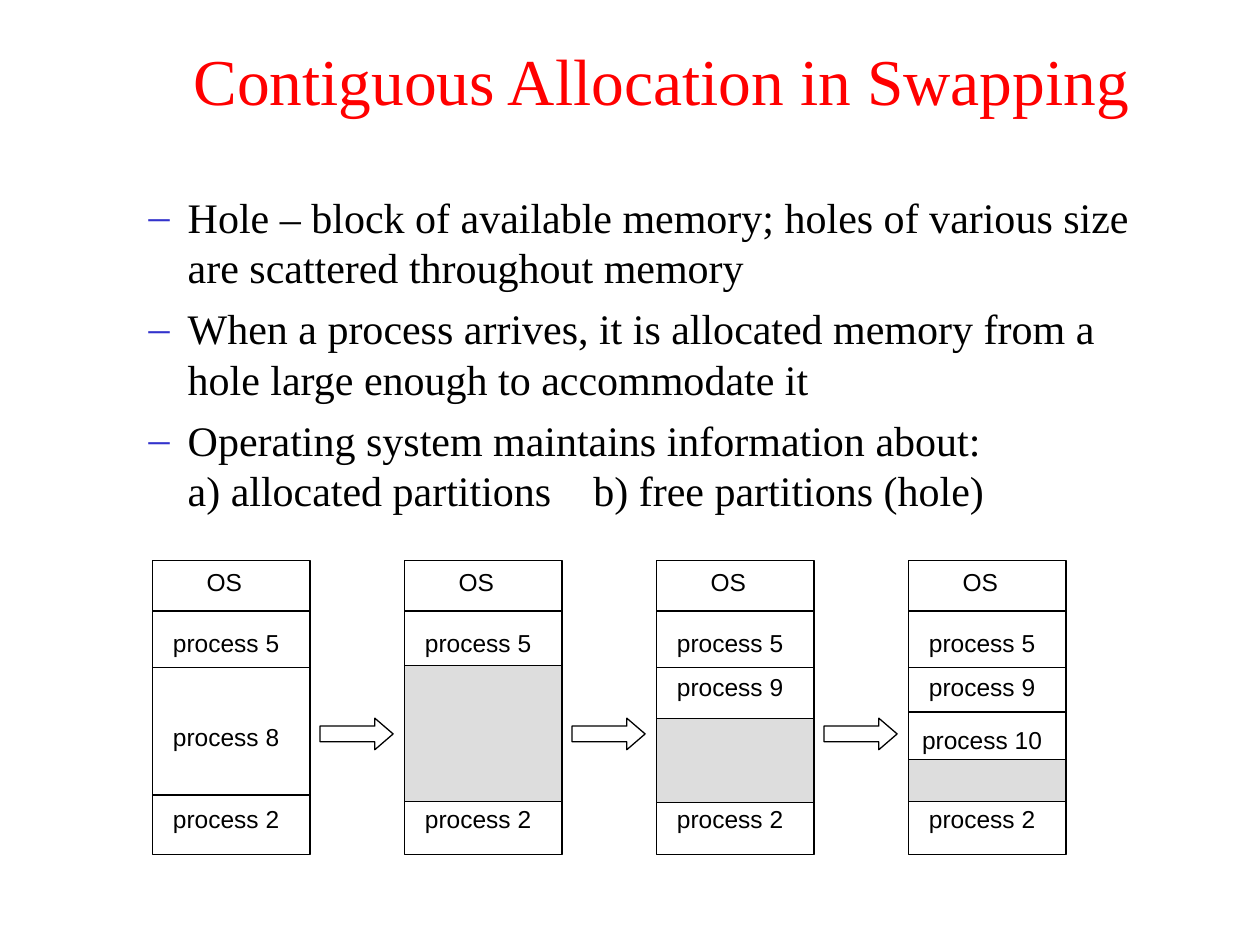
import dataclasses
import pptx
import pptx.dml.color
import pptx.enum.shapes
import pptx.enum.text
import pptx.oxml
import pptx.oxml.ns
import pptx.util
from pptx.util import Inches

Shapes = pptx.enum.shapes.MSO_SHAPE
Anchor = pptx.enum.text.MSO_ANCHOR
Align = pptx.enum.text.PP_ALIGN
AutoSize = pptx.enum.text.MSO_AUTO_SIZE


@dataclasses.dataclass(frozen=True)
class Theme:
    title_color: str = "FF0000"
    text_color: str = "000000"
    bullet_color: str = "3333CC"
    block_color: str = "FFFFFF"
    hole_color: str = "DDDDDD"
    heading_font: str = "Times New Roman"
    label_font: str = "Arial"
    title_size: float = 37.4
    body_size: float = 24
    label_size: float = 14
    line_width: float = 0.75


THEME = Theme()

BULLETS = [
    ["Hole – block of available memory; holes of various size are scattered throughout memory"],
    ["When a process arrives, it is allocated memory from a hole large enough to accommodate it"],
    ["Operating system maintains information about:", "a) allocated partitions\tb) free partitions (hole)"],
]

FIRST_LEFT, COLUMN_STEP = 1.21, 2
MEMORY_TOP, MEMORY_WIDTH, MEMORY_HEIGHT = 4.45, 1.25, 2.33
SEPARATORS = [4.85, 5.3, 6.31]
COMMON_LABELS = [("process 5", 4.93), ("process 2", 6.33)]
STAGES = [
    {"labels": [("process 8", 5.68)]},
    {"hole": (5.28, 1.08)},
    {"labels": [("process 9", 5.28)], "hole": (5.7, 0.67)},
    {"labels": [("process 9", 5.28), ("process 10", 5.7)], "hole": (6.03, 0.33), "separators": [5.65]},
]


def rgb(value):
    return pptx.dml.color.RGBColor.from_string(value)


def place(shape, left, top, width, height):
    shape.left, shape.top = Inches(left), Inches(top)
    shape.width, shape.height = Inches(width), Inches(height)


def add_run(paragraph, text, font, size, color):
    run = paragraph.add_run()
    run.text = text
    run.font.name = font
    run.font.size = pptx.util.Pt(size)
    run.font.color.rgb = rgb(color)


def add_title(slide, text):
    title = slide.shapes.title
    place(title, 0.94, 0.29, 8.5, 0.75)
    frame = title.text_frame
    frame.auto_size = AutoSize.NONE
    frame.vertical_anchor = Anchor.MIDDLE
    paragraph = frame.paragraphs[0]
    paragraph.alignment = Align.CENTER
    paragraph.line_spacing = 0.9
    add_run(paragraph, text, THEME.heading_font, THEME.title_size, THEME.title_color)


def set_dash_bullet(paragraph):
    properties = paragraph._p.get_or_add_pPr()
    properties.set("marL", str(Inches(0.81)))
    properties.set("indent", str(Inches(-0.31)))
    namespace = pptx.oxml.ns.nsdecls("a")
    for markup in (
        f'<a:buClr {namespace}><a:srgbClr val="{THEME.bullet_color}"/></a:buClr>',
        f'<a:buFont {namespace} typeface="{THEME.heading_font}"/>',
        f'<a:buChar {namespace} char="–"/>',
        f'<a:tabLst {namespace}><a:tab pos="{Inches(4.03)}" algn="l"/></a:tabLst>',
    ):
        properties.append(pptx.oxml.parse_xml(markup))


def add_bullets(slide, bullets):
    body = slide.placeholders[1]
    place(body, 0.58, 1.47, 8.5, 2.85)
    frame = body.text_frame
    frame.auto_size = AutoSize.NONE
    for index, lines in enumerate(bullets):
        paragraph = frame.add_paragraph() if index else frame.paragraphs[0]
        paragraph.level = 1
        paragraph.space_before = pptx.util.Pt(6)
        set_dash_bullet(paragraph)
        for number, line in enumerate(lines):
            if number:
                paragraph.add_line_break()
            add_run(paragraph, line, THEME.heading_font, THEME.body_size, THEME.text_color)


def style_line(line):
    line.color.rgb = rgb(THEME.text_color)
    line.width = pptx.util.Pt(THEME.line_width)


def add_block(slide, kind, left, top, width, height, color):
    shape = slide.shapes.add_shape(kind, Inches(left), Inches(top), Inches(width), Inches(height))
    shape.shadow.inherit = False
    shape.fill.solid()
    shape.fill.fore_color.rgb = rgb(color)
    style_line(shape.line)
    return shape


def add_separator(slide, left, top):
    connector = slide.shapes.add_connector(
        pptx.enum.shapes.MSO_CONNECTOR.STRAIGHT,
        Inches(left), Inches(top), Inches(left + MEMORY_WIDTH), Inches(top))
    style_line(connector.line)
    connector._element.spPr.append(pptx.oxml.parse_xml(f'<a:effectLst {pptx.oxml.ns.nsdecls("a")}/>'))


def add_label(slide, text, left, top, width=1.17, wrap=True):
    label = slide.shapes.add_textbox(Inches(left), Inches(top), Inches(width), Inches(0.34))
    frame = label.text_frame
    frame.word_wrap = wrap
    frame.auto_size = AutoSize.SHAPE_TO_FIT_TEXT
    frame.vertical_anchor = Anchor.MIDDLE
    paragraph = frame.paragraphs[0]
    paragraph.alignment = Align.CENTER
    paragraph.space_before = pptx.util.Pt(8.8)
    add_run(paragraph, text, THEME.label_font, THEME.label_size, THEME.text_color)


def add_memory(slide, left, labels=(), hole=None, separators=()):
    add_block(slide, Shapes.RECTANGLE, left, MEMORY_TOP, MEMORY_WIDTH, MEMORY_HEIGHT, THEME.block_color)
    for top in [*SEPARATORS, *separators]:
        add_separator(slide, left, top)
    if hole:
        top, height = hole
        add_block(slide, Shapes.RECTANGLE, left, top, MEMORY_WIDTH, height, THEME.hole_color)
    add_label(slide, "OS", left + 0.33, MEMORY_TOP, 0.48, wrap=False)
    for text, top in [*COMMON_LABELS, *labels]:
        add_label(slide, text, left, top)


def add_stage_arrow(slide, memory_left):
    arrow = add_block(slide, Shapes.RIGHT_ARROW, memory_left + 1.33, 5.7, 0.58, 0.25, THEME.block_color)
    arrow.adjustments[0] = 0.5
    arrow.adjustments[1] = 0.58


def main():
    presentation = pptx.Presentation()
    presentation.slide_width, presentation.slide_height = Inches(10), Inches(7.5)
    slide = presentation.slides.add_slide(presentation.slide_layouts[1])
    add_title(slide, " Contiguous Allocation in Swapping")
    add_bullets(slide, BULLETS)
    for index, stage in enumerate(STAGES):
        left = FIRST_LEFT + index * COLUMN_STEP
        add_memory(slide, left, **stage)
        if index < len(STAGES) - 1:
            add_stage_arrow(slide, left)
    presentation.save("out.pptx")


if __name__ == "__main__":
    main()
